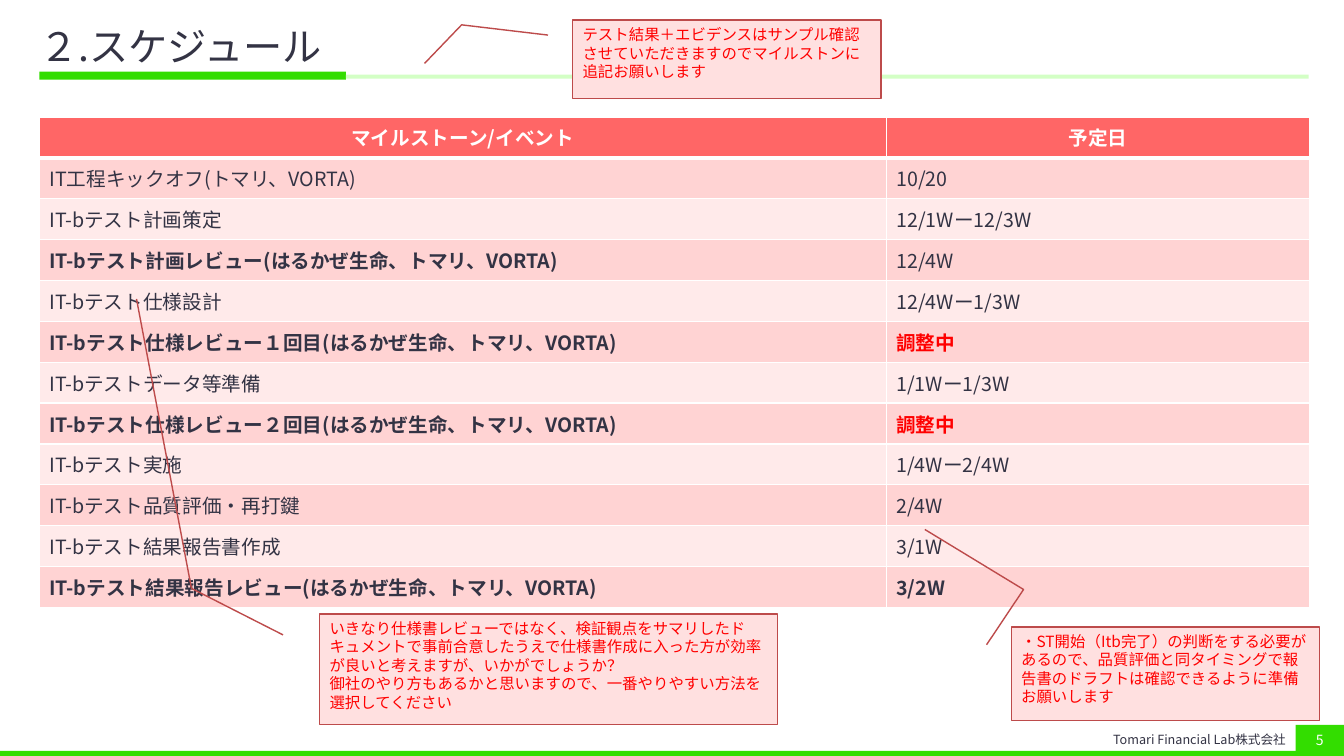
from lxml import etree
from pptx import Presentation
from pptx import util as u
from pptx.dml import color
from pptx.enum import shapes, text
from pptx.oxml import ns

FONT = "Noto Sans CJK JP"
GREEN, PALE_GREEN, INK, RED, WHITE = "33DD00", "D3FFC5", "333344", "FF0000", "FFFFFF"
HEADER, BANDS = "FF6666", ("FFEAEA", "FFD3D3")
NOTE_FILL, NOTE_LINE = "FFE0E0", "BD4B4B"
WIDTH, HEIGHT = 13.33, 7.5
MARGIN, CONTENT_WIDTH = 0.39, 12.6

PARTIES = "(はるかぜ生命、トマリ、VORTA)"
MILESTONES = [
    ("IT工程キックオフ(トマリ、VORTA)", "10/20"),
    ("IT-bテスト計画策定", "12/1Wー12/3W"),
    ("IT-bテスト計画レビュー" + PARTIES, "12/4W"),
    ("IT-bテスト仕様設計", "12/4Wー1/3W"),
    ("IT-bテスト仕様レビュー１回目" + PARTIES, "調整中"),
    ("IT-bテストデータ等準備", "1/1Wー1/3W"),
    ("IT-bテスト仕様レビュー２回目" + PARTIES, "調整中"),
    ("IT-bテスト実施", "1/4Wー2/4W"),
    ("IT-bテスト品質評価・再打鍵", "2/4W"),
    ("IT-bテスト結果報告書作成", "3/1W"),
    ("IT-bテスト結果報告レビュー" + PARTIES, "3/2W"),
]
NOTES = [
    ((10.03, 6.22, 3.06, 0.93), (-0.4, 0.04, -1.04, -0.28),
     "・ST開始（Itb完了）の判断をする必要があるので、品質評価と同タイミングで"
     "報告書のドラフトは確認できるように準備お願いします"),
    ((3.17, 6.09, 4.54, 1.1), (-0.23, -0.28, -2.84, -0.4),
     "いきなり仕様書レビューではなく、検証観点をサマリしたドキュメントで事前合意したうえで"
     "仕様書作成に入った方が効率が良いと考えますが、いかがでしょうか？\n"
     "御社のやり方もあるかと思いますので、一番やりやすい方法を選択してください"),
    ((5.68, 0.2, 3.06, 0.78), (0.06, -0.36, 0.55, -0.48),
     "テスト結果＋エビデンスはサンプル確認させていただきますので"
     "マイルストンに追記お願いします"),
]


def rgb(value):
    return color.RGBColor.from_string(value)


def inches(box):
    return [u.Inches(length) for length in box]


def write(frame, words, size, ink, bold=False, align=text.PP_ALIGN.LEFT):
    frame.text = words
    for paragraph in frame.paragraphs:
        paragraph.alignment = align
        for run in paragraph.runs:
            run.font.size = u.Pt(size)
            run.font.bold = bold
            run.font.name = FONT
            run.font.color.rgb = rgb(ink)
            east_asian = etree.SubElement(run.font._element, ns.qn("a:ea"))
            east_asian.set("typeface", FONT)


def add_block(slide, kind, box, fill):
    block = slide.shapes.add_shape(kind, *inches(box))
    block.shadow.inherit = False
    block.fill.solid()
    block.fill.fore_color.rgb = rgb(fill)
    block.line.fill.background()
    return block


def add_bar(slide, box, fill):
    return add_block(slide, shapes.MSO_SHAPE.RECTANGLE, box, fill)


def add_heading(slide, box, words):
    left, top, width, height = box
    accent = 3.04
    add_bar(slide, (left, top + 0.51, accent, 0.08), GREEN)
    add_bar(slide, (left + accent, top + 0.54, width - accent - 0.01, 0.04), PALE_GREEN)
    title = slide.shapes.title
    title.left, title.top, title.width, title.height = inches(box)
    frame = title.text_frame
    frame.auto_size = text.MSO_AUTO_SIZE.NONE
    frame.vertical_anchor = text.MSO_ANCHOR.MIDDLE
    frame.margin_left, frame.margin_right = 0, u.Inches(0.16)
    write(frame, words, 28, INK)
    frame.paragraphs[0].line_spacing = 0.9


def add_footer(slide, box, company, number):
    left, top, width, height = box
    strip, tab = 0.05, 0.48
    add_bar(slide, (left, top + height - strip, width, strip), GREEN)
    label = slide.shapes.add_textbox(*inches((left + width - tab - 2.4, top + 0.01, 2.4, 0.27)))
    label.text_frame.word_wrap = True
    label.text_frame.vertical_anchor = text.MSO_ANCHOR.MIDDLE
    write(label.text_frame, company, 9, INK, align=text.PP_ALIGN.RIGHT)
    page = add_bar(slide, (left + width - tab, top, tab, height), GREEN)
    page.text_frame.vertical_anchor = text.MSO_ANCHOR.MIDDLE
    write(page.text_frame, number, 10, WHITE, align=text.PP_ALIGN.CENTER)


def set_borders(cell, bottom):
    properties = cell._tc.get_or_add_tcPr()
    for side, points in (("L", 1), ("R", 1), ("T", 1), ("B", bottom)):
        edge = etree.SubElement(properties, ns.qn("a:ln" + side), w=str(u.Pt(points)))
        paint = etree.SubElement(edge, ns.qn("a:solidFill"))
        etree.SubElement(paint, ns.qn("a:srgbClr"), val=WHITE)


def fill_cell(cell, words, fill, ink, bold, align, bottom=1):
    set_borders(cell, bottom)
    cell.fill.solid()
    cell.fill.fore_color.rgb = rgb(fill)
    cell.vertical_anchor = text.MSO_ANCHOR.MIDDLE
    write(cell.text_frame, words, 14, ink, bold, align)


def add_schedule(slide, box, headings, milestones):
    width, height = box[2:]
    rows = len(milestones) + 1
    schedule = slide.shapes.add_table(rows, 2, *inches(box)).table
    for column, share in zip(schedule.columns, (2 / 3, 1 / 3)):
        column.width = u.Inches(width * share)
    for row in schedule.rows:
        row.height = u.Inches(height / rows)
    for index, heading in enumerate(headings):
        fill_cell(schedule.cell(0, index), heading, HEADER, WHITE, True,
                  text.PP_ALIGN.CENTER, bottom=3)
    for index, (event, date) in enumerate(milestones, 1):
        fill = BANDS[index % 2]
        pending = date == "調整中"
        date_bold = pending or index == len(milestones)
        fill_cell(schedule.cell(index, 0), event, fill, INK,
                  "レビュー" in event, text.PP_ALIGN.LEFT)
        fill_cell(schedule.cell(index, 1), date, fill, RED if pending else INK,
                  date_bold, text.PP_ALIGN.LEFT)


def add_note(slide, box, leader, words):
    note = add_block(slide, shapes.MSO_SHAPE.LINE_CALLOUT_2, box, NOTE_FILL)
    for index, share in enumerate((0.19, -0.08) + leader):
        note.adjustments[index] = share
    note.line.color.rgb = rgb(NOTE_LINE)
    note.line.width = u.Pt(1)
    note.text_frame.word_wrap = True
    note.text_frame.vertical_anchor = text.MSO_ANCHOR.TOP
    write(note.text_frame, words, 11, RED)


def main():
    deck = Presentation()
    deck.slide_width, deck.slide_height = inches((WIDTH, HEIGHT))
    slide = deck.slides.add_slide(deck.slide_layouts[5])
    add_heading(slide, (MARGIN, 0.2, CONTENT_WIDTH, 0.56), "２.スケジュール")
    add_footer(slide, (0, HEIGHT - 0.31, WIDTH, 0.31), "Tomari Financial Lab株式会社", "5")
    add_schedule(slide, (MARGIN, 1.16, CONTENT_WIDTH, 4.87),
                 ("マイルストーン/イベント", "予定日"), MILESTONES)
    for box, leader, words in NOTES:
        add_note(slide, box, leader, words)
    deck.save("out.pptx")


if __name__ == "__main__":
    main()
